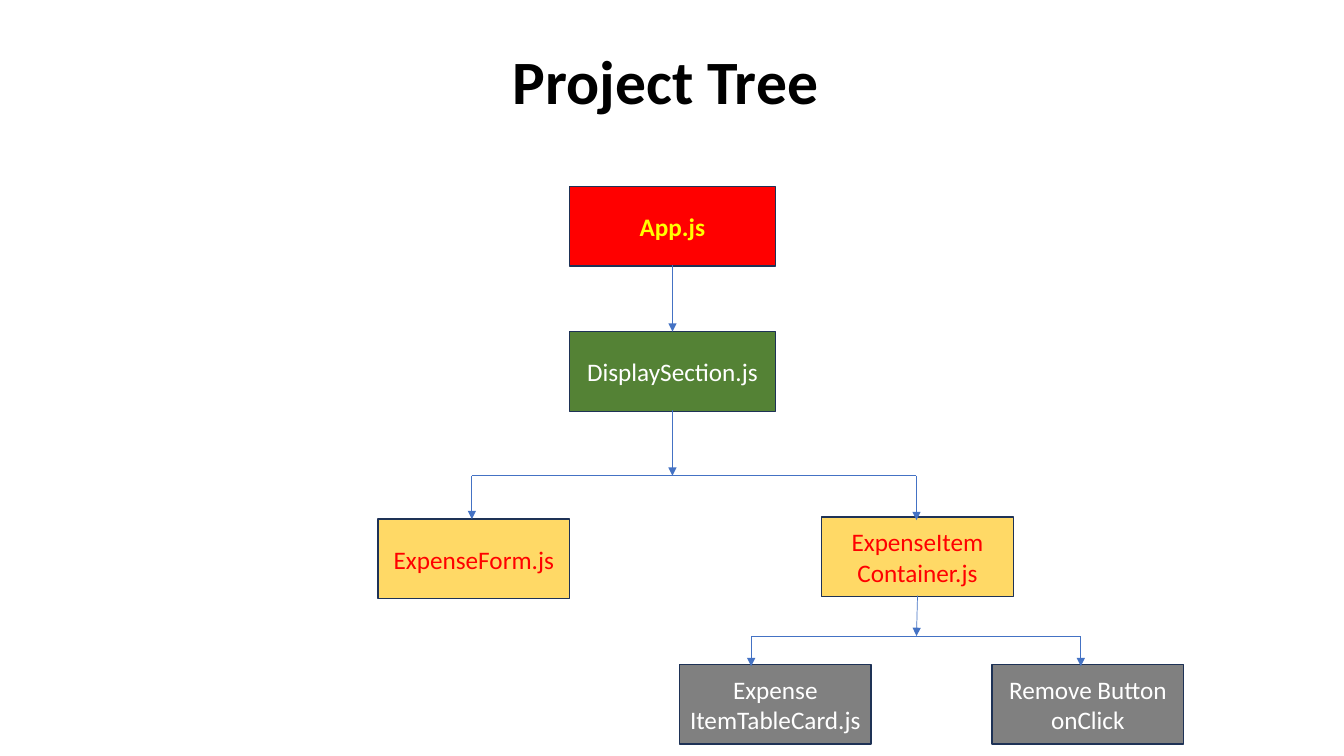
from lxml import etree
from pptx import Presentation
from pptx.dml.color import RGBColor
from pptx.enum.shapes import MSO_CONNECTOR, MSO_SHAPE
from pptx.enum.text import MSO_ANCHOR, PP_ALIGN
from pptx.oxml.ns import qn
from pptx.util import Inches, Pt

RECT = MSO_SHAPE.RECTANGLE
STRAIGHT = MSO_CONNECTOR.STRAIGHT
MIDDLE = MSO_ANCHOR.MIDDLE
CENTER = PP_ALIGN.CENTER

BLACK = RGBColor(0x00, 0x00, 0x00)
WHITE = RGBColor(0xFF, 0xFF, 0xFF)
RED = RGBColor(0xFF, 0x00, 0x00)
YELLOW = RGBColor(0xFF, 0xFF, 0x00)
GREEN = RGBColor(0x54, 0x82, 0x35)
GOLD = RGBColor(0xFF, 0xD9, 0x66)
GRAY = RGBColor(0x80, 0x80, 0x80)
NAVY = RGBColor(0x1E, 0x32, 0x56)
BLUE = RGBColor(0x44, 0x72, 0xC4)

TITLE = "Project Tree "
TITLE_BOX = (0.92, 0.11, 11.5, 1.45)
TITLE_FONT = {"name": "Calibri", "size": Pt(44), "bold": True}
NODE_FONT = {"name": "Calibri", "size": Pt(18)}

TRUNK_W, LEAF_W, NODE_H = 2.04, 1.9, 0.79
NODES = [
    ("App.js", 5.65, 1.85, TRUNK_W, RED, YELLOW, True),
    ("DisplaySection.js", 5.65, 3.29, TRUNK_W, GREEN, WHITE, False),
    ("ExpenseForm.js", 3.75, 5.15, LEAF_W, GOLD, RED, False),
    ("Expense\nItemTableCard.js", 6.74, 6.59, LEAF_W, GRAY, WHITE, False),
    ("Remove Button\nonClick", 9.84, 6.59, LEAF_W, GRAY, WHITE, False),
    ("ExpenseItem\nContainer.js", 8.15, 5.13, LEAF_W, GOLD, RED, False),
]

TRUNK_ARROW = (6.67, 2.63, 6.67, 3.29)
BRANCHES = [
    {"stem": (6.67, 4.07), "bar": 4.72, "drops": [(4.68, 5.15), (9.09, 5.16)], "tip": 6.67},
    {"stem": (9.1, 5.91), "bar": 6.31, "drops": [(7.45, 6.61), (10.72, 6.61)], "tip": 9.09},
]


def format_text(tf, font, color):
    tf.vertical_anchor = MIDDLE
    for p in tf.paragraphs:
        p.alignment = CENTER
        for r in p.runs:
            for name, value in font.items():
                setattr(r.font, name, value)
            r.font.color.rgb = color


def add_node(slide, text, x, y, w, fill, color, bold):
    sp = slide.shapes.add_shape(RECT, Inches(x), Inches(y), Inches(w), Inches(NODE_H))
    sp.shadow.inherit = False
    sp.fill.solid()
    sp.fill.fore_color.rgb = fill
    sp.line.color.rgb = NAVY
    sp.line.width = Pt(1)
    sp.text_frame.word_wrap = True
    sp.text_frame.text = text
    format_text(sp.text_frame, {**NODE_FONT, "bold": bold}, color)


def add_line(slide, x1, y1, x2, y2, arrow=True):
    cn = slide.shapes.add_connector(STRAIGHT, Inches(x1), Inches(y1), Inches(x2), Inches(y2))
    cn.line.color.rgb = BLUE
    cn.line.width = Pt(0.5)
    if arrow:
        etree.SubElement(cn.line._get_or_add_ln(), qn("a:tailEnd"), type="triangle")
    etree.SubElement(cn._element.spPr, qn("a:effectLst"))


def main():
    prs = Presentation()
    prs.slide_width, prs.slide_height = Inches(13.33), Inches(7.5)
    slide = prs.slides.add_slide(prs.slide_layouts[5])

    title = slide.shapes.title
    title.left, title.top, title.width, title.height = map(Inches, TITLE_BOX)
    title.text_frame.text = TITLE
    title.text_frame.paragraphs[0].line_spacing = 0.9
    format_text(title.text_frame, TITLE_FONT, BLACK)

    for node in NODES:
        add_node(slide, *node)

    add_line(slide, *TRUNK_ARROW)
    for branch in BRANCHES:
        bar, drops = branch["bar"], branch["drops"]
        add_line(slide, drops[0][0], bar, drops[-1][0], bar, arrow=False)
        add_line(slide, *branch["stem"], branch["tip"], bar)
        for x, bottom in drops:
            add_line(slide, x, bar, x, bottom)

    prs.save("out.pptx")


if __name__ == "__main__":
    main()
